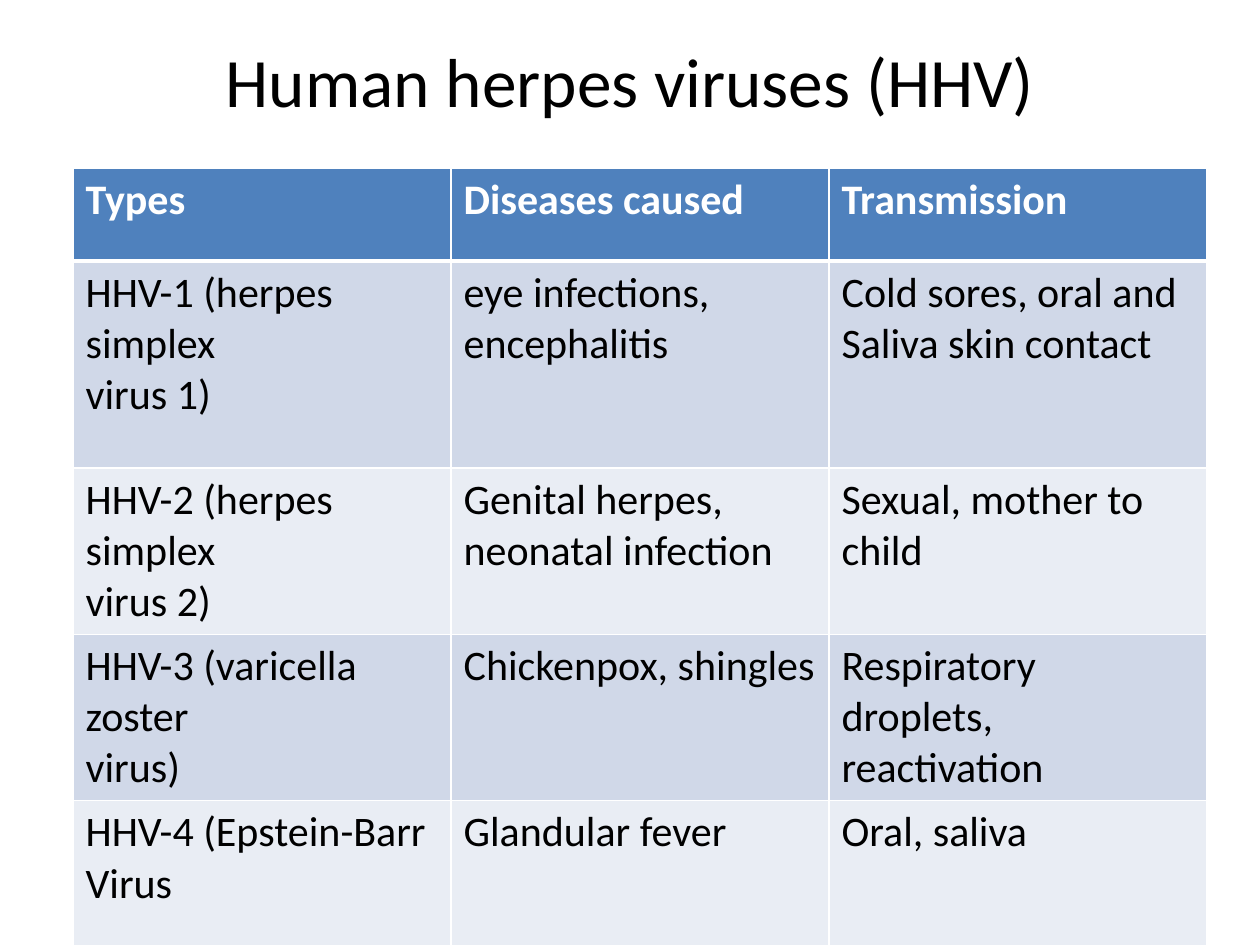
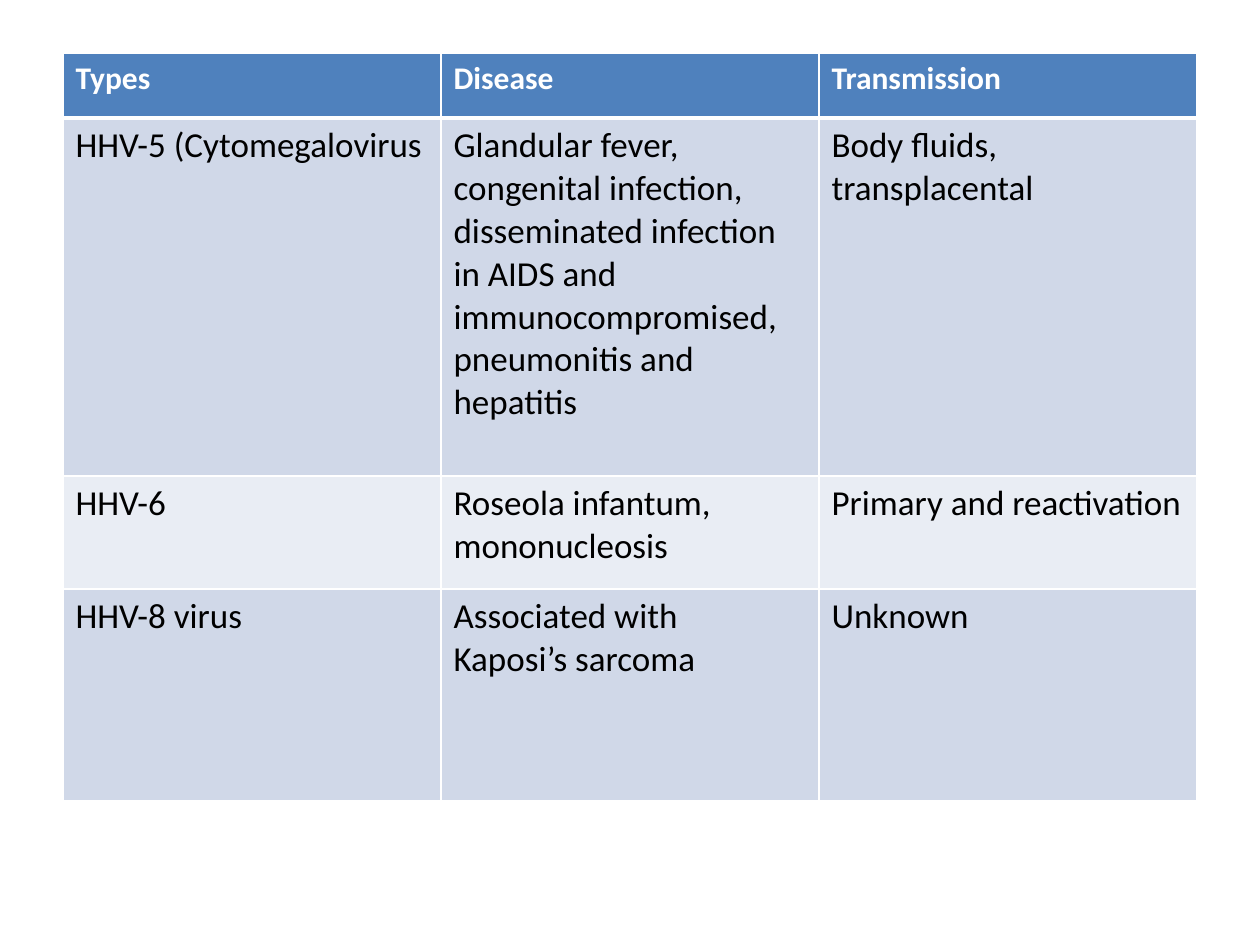
from pptx import Presentation, util as u
from pptx.dml.color import RGBColor
from pptx.enum import text
from pptx.oxml import parse_xml
from pptx.oxml.ns import nsdecls

BLACK = RGBColor(0x00, 0x00, 0x00)
WHITE = RGBColor(0xFF, 0xFF, 0xFF)
HEADER = RGBColor(0x4F, 0x81, 0xBD)
BANDS = [RGBColor(0xE9, 0xED, 0xF4), RGBColor(0xD0, 0xD8, 0xE8)]
FONT = "Calibri"
COL_WIDTH = 378


def px(n):
    return u.Emu(round(n * 914400 / 126))


def add_virus_table(slide, left, top, heights, rows, head_size, body_size):
    frame = slide.shapes.add_table(len(rows), 3, px(left), px(top),
                                   px(3 * COL_WIDTH), px(sum(heights)))
    table = frame.table
    for col in table.columns:
        col.width = px(COL_WIDTH)
    for i, (height, row) in enumerate(zip(heights, rows)):
        table.rows[i].height = px(height)
        for cell, words in zip(table.rows[i].cells, row):
            # White rules, thick under the header
            widths = {"L": 1, "R": 1, "T": 3 if i == 1 else 1, "B": 3 if i == 0 else 1}
            for side, width in widths.items():
                cell._tc.get_or_add_tcPr().append(parse_xml(
                    f'<a:ln{side} {nsdecls("a")} w="{u.Pt(width)}"><a:solidFill>'
                    f'<a:srgbClr val="{WHITE}"/></a:solidFill></a:ln{side}>'))
            cell.fill.solid()
            cell.fill.fore_color.rgb = BANDS[i % 2] if i else HEADER
            # Each line of words is a paragraph
            cell.text_frame.text = words
            for p in cell.text_frame.paragraphs:
                p.font.name = FONT
                p.font.size = u.Pt(body_size if i else head_size)
                p.font.bold = i == 0
                p.font.color.rgb = BLACK if i else WHITE


prs = Presentation()
prs.slide_width, prs.slide_height = px(1260), px(945)

# Slide 1: title and HHV-1 to HHV-4
s = prs.slides.add_slide(prs.slide_layouts[5])
title = s.shapes.title
title.left, title.top, title.width, title.height = px(63), px(38), px(1134), px(157)
tf = title.text_frame
tf.text = "Human herpes viruses (HHV)"
tf.vertical_anchor = text.MSO_ANCHOR.TOP
tf.margin_top = 0
p = tf.paragraphs[0]
p.alignment = text.PP_ALIGN.CENTER
p.font.name = FONT
p.font.size = u.Pt(39.6)
p.font.color.rgb = BLACK

add_virus_table(s, 73, 168, [93, 207, 145, 145, 145], [
    ("Types", "Diseases caused", "Transmission"),
    ("HHV-1 (herpes simplex\nvirus 1)", "eye infections,\nencephalitis",
     "Cold sores, oral and Saliva skin contact"),
    ("HHV-2 (herpes simplex\nvirus 2)", "Genital herpes, neonatal infection",
     "Sexual, mother to child"),
    ("HHV-3 (varicella zoster\nvirus)", "Chickenpox, shingles",
     "Respiratory droplets, reactivation"),
    ("HHV-4 (Epstein-Barr Virus", "Glandular fever", "Oral, saliva"),
], 24, 24)

# Slide 2: HHV-5 to HHV-8
s = prs.slides.add_slide(prs.slide_layouts[6])
add_virus_table(s, 63, 53, [65, 358, 113, 212], [
    ("Types", "Disease", "Transmission"),
    ("HHV-5 (Cytomegalovirus",
     "Glandular fever,\ncongenital infection,\ndisseminated infection\n"
     "in AIDS and immunocompromised,\npneumonitis and\nhepatitis",
     "Body fluids, transplacental"),
    ("HHV-6", "Roseola infantum,\nmononucleosis", "Primary and reactivation"),
    ("HHV-8 virus", "Associated with\nKaposi’s sarcoma", "Unknown"),
], 18, 20)

prs.save("out.pptx")
